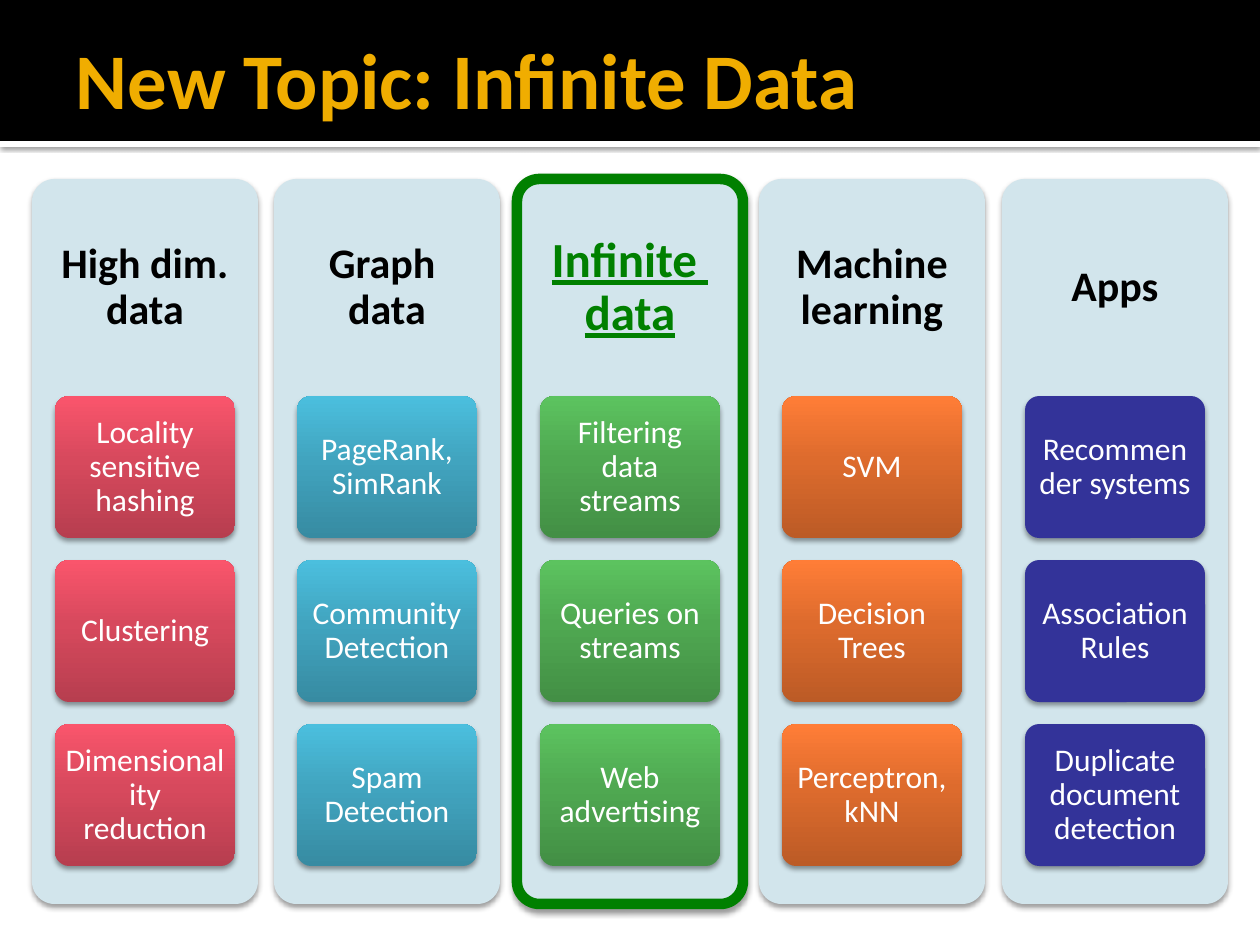
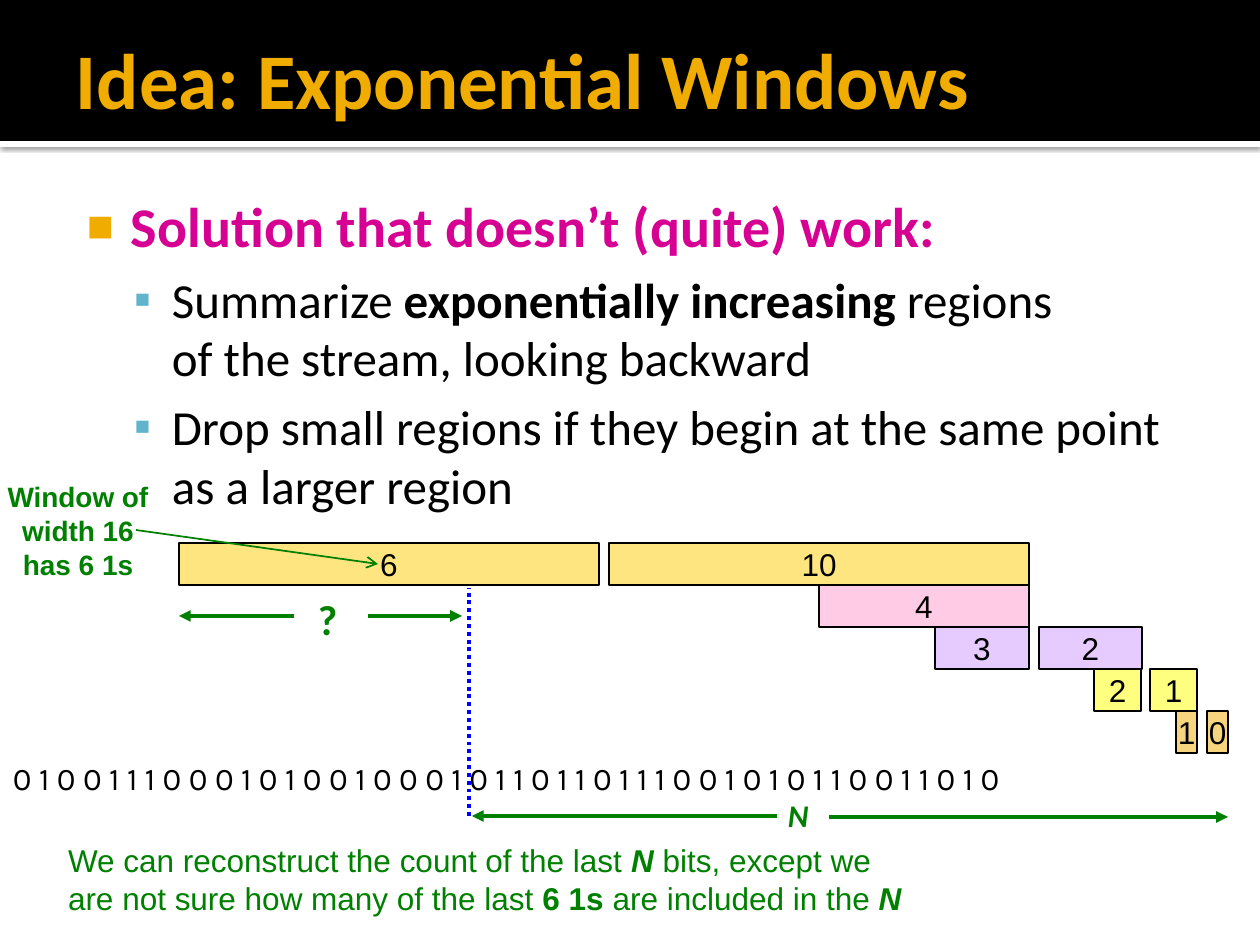
"""Build two lecture slides: the course topic map and the exponential windows idea."""
import copy
from dataclasses import dataclass

import lxml.etree
import pptx
import pptx.dml.color
import pptx.enum.dml
import pptx.enum.shapes
import pptx.enum.text
import pptx.oxml.ns
import pptx.util

RGB = pptx.dml.color.RGBColor
SHAPE = pptx.enum.shapes.MSO_SHAPE
ALIGN = pptx.enum.text.PP_ALIGN
ANCHOR = pptx.enum.text.MSO_ANCHOR
Pt = pptx.util.Pt
qn = pptx.oxml.ns.qn

EMU_PER_PX = 914400 / 126
SLIDE_W, SLIDE_H = 1260, 945
TEXT_INSETS = (13, 6, 13, 6)
NO_INSETS = (0, 0, 0, 0)

BLACK = RGB(0x00, 0x00, 0x00)
WHITE = RGB(0xFF, 0xFF, 0xFF)
GOLD = RGB(0xF0, 0xAD, 0x00)
GREEN = RGB(0x00, 0x80, 0x00)
BLUE = RGB(0x00, 0x00, 0xFF)
MAGENTA = RGB(0xD6, 0x00, 0x93)
SKY = RGB(0x60, 0xB5, 0xCC)
PANEL = RGB(0xD2, 0xE5, 0xEC)
AMBER = RGB(0xFF, 0xCC, 0x00)
PINK = RGB(0xFF, 0x99, 0xCC)
VIOLET = RGB(0xCC, 0x99, 0xFF)
YELLOW = RGB(0xFF, 0xFF, 0x00)
NAVY = RGB(0x33, 0x33, 0x99)
RED_SHADES = (RGB(0xB7, 0x3E, 0x4F), RGB(0xD7, 0x49, 0x5D), RGB(0xFA, 0x55, 0x6C))
TEAL_SHADES = (RGB(0x37, 0x8B, 0xA2), RGB(0x41, 0xA4, 0xBF), RGB(0x4B, 0xBF, 0xDE))
GREEN_SHADES = (RGB(0x43, 0x8F, 0x45), RGB(0x4F, 0xA8, 0x51), RGB(0x5C, 0xC3, 0x5F))
ORANGE_SHADES = (RGB(0xBC, 0x5B, 0x26), RGB(0xDD, 0x6B, 0x2D), RGB(0xFF, 0x7D, 0x37))


@dataclass
class Topic:
    """A column of the topic map."""
    name: str
    shades: tuple
    items: tuple
    current: bool = False


@dataclass
class Window:
    """A stream window with its count of ones."""
    count: str
    row: int
    x: int
    w: int
    color: RGB


@dataclass
class Arrow:
    """A straight line with an optional arrowhead at its end."""
    x1: int
    y1: int
    x2: int
    y2: int
    color: RGB = GREEN
    width: float = 2.25
    head: str = "triangle"
    dotted: bool = False


TOPICS = (
    Topic("High dim. data", RED_SHADES,
          ("Locality sensitive hashing", "Clustering", "Dimensionality reduction")),
    Topic("Graph \ndata", TEAL_SHADES,
          ("PageRank, SimRank", "Community Detection", "Spam Detection")),
    Topic("Infinite \ndata", GREEN_SHADES,
          ("Filtering data streams", "Queries on streams", "Web advertising"), True),
    Topic("Machine learning", ORANGE_SHADES, ("SVM", "Decision Trees", "Perceptron, kNN")),
    Topic("Apps", (NAVY,),
          ("Recommender systems", "Association Rules", "Duplicate document detection")),
)
WINDOWS = (
    Window("0", 4, 1207, 21, GOLD),
    Window("1", 4, 1176, 21, GOLD),
    Window("1", 3, 1150, 47, YELLOW),
    Window("2", 3, 1094, 47, YELLOW),
    Window("2", 2, 1039, 103, VIOLET),
    Window("3", 2, 935, 94, VIOLET),
    Window("4", 1, 819, 210, PINK),
    Window("10", 0, 609, 420, AMBER),
    Window("6", 0, 179, 420, AMBER),
)
ARROWS = (
    Arrow(777, 816, 472, 816),
    Arrow(829, 817, 1228, 817),
    Arrow(294, 616, 179, 616),
    Arrow(368, 616, 462, 616),
    Arrow(136, 530, 378, 564, width=1, head="arrow"),
    Arrow(469, 816, 469, 588, color=BLUE, head="", dotted=True),
)
BITS = "010011100010100100010110110111001010110011010"


def px(n: int) -> pptx.util.Emu:
    """Turn pixels into EMU."""
    return pptx.util.Emu(round(n * EMU_PER_PX))


def write(p, text: str, *, size: float, color: RGB = BLACK, font: str = "Calibri",
          bold: bool = False, italic: bool = False, underline: bool = False) -> None:
    """Add formatted text to a paragraph, with line breaks at newlines."""
    for i, line in enumerate(text.split("\n")):
        if i:
            p.add_line_break()
        r = p.add_run()
        r.text = line
        f = r.font
        f.name, f.size, f.color.rgb = font, Pt(size), color
        f.bold, f.italic, f.underline = bold, italic, underline


def set_frame(tf, insets: tuple = TEXT_INSETS, anchor=ANCHOR.TOP, align=ALIGN.LEFT):
    """Format a text frame and return its first paragraph."""
    tf.word_wrap = True
    tf.auto_size = pptx.enum.text.MSO_AUTO_SIZE.NONE
    tf.vertical_anchor = anchor
    tf.margin_left, tf.margin_top, tf.margin_right, tf.margin_bottom = map(px, insets)
    p = tf.paragraphs[0]
    p.alignment = align
    return p


def add_text(s, x: int, y: int, w: int, h: int, **frame):
    """Add a text box and return its first paragraph."""
    return set_frame(s.shapes.add_textbox(px(x), px(y), px(w), px(h)).text_frame, **frame)


def add_box(s, kind, x: int, y: int, w: int, h: int, *colors: RGB):
    """Add a shape without outline, filled plainly or with three upward shades."""
    sp = s.shapes.add_shape(kind, px(x), px(y), px(w), px(h))
    sp.shadow.inherit = False
    sp.line.fill.background()
    if len(colors) == 1:
        sp.fill.solid()
        sp.fill.fore_color.rgb = colors[0]
        return sp
    sp.fill.gradient()
    sp.fill.gradient_angle = 90
    gs_list = sp.element.spPr.find(".//" + qn("a:gsLst"))
    gs_list.insert(1, copy.deepcopy(gs_list[0]))
    for stop, color, position in zip(sp.fill.gradient_stops, colors, (0, 0.55, 1)):
        stop.color.rgb, stop.position = color, position
    return sp


def add_round(s, x: int, y: int, w: int, h: int, *colors: RGB):
    """Add a rounded box with a soft shadow."""
    sp = add_box(s, SHAPE.ROUNDED_RECTANGLE, x, y, w, h, *colors)
    sp.adjustments[0] = 0.1
    cast_shadow(sp, blur=3.1, distance=2, opacity=38)
    return sp


def cast_shadow(sp, blur: float, distance: float, opacity: int) -> None:
    """Give a shape a black shadow that falls straight down."""
    effects = sp.element.spPr.find(qn("a:effectLst"))
    shadow = lxml.etree.SubElement(
        effects, qn("a:outerShdw"), blurRad=str(Pt(blur)), dist=str(Pt(distance)),
        dir="5400000", algn="ctr", rotWithShape="0")
    color = lxml.etree.SubElement(shadow, qn("a:srgbClr"), val=str(BLACK))
    lxml.etree.SubElement(color, qn("a:alpha"), val=str(opacity * 1000))


def add_arrow(s, a: Arrow) -> None:
    """Draw a straight line or arrow."""
    c = s.shapes.add_connector(pptx.enum.shapes.MSO_CONNECTOR.STRAIGHT,
                               px(a.x1), px(a.y1), px(a.x2), px(a.y2))
    c.line.color.rgb, c.line.width = a.color, Pt(a.width)
    if a.dotted:
        c.line.dash_style = pptx.enum.dml.MSO_LINE.ROUND_DOT
    spPr = c.element.spPr
    if a.head:
        lxml.etree.SubElement(spPr.find(qn("a:ln")), qn("a:tailEnd"), type=a.head)
    lxml.etree.SubElement(spPr, qn("a:effectLst"))


def set_bullet(p, char: str, color: RGB, left: int, hang: int, percent: int = 100) -> None:
    """Give a paragraph a coloured bullet and a hanging indent."""
    pPr = p._p.get_or_add_pPr()
    pPr.set("marL", str(px(left)))
    pPr.set("indent", str(px(-hang)))
    bullet_color = lxml.etree.SubElement(pPr, qn("a:buClr"))
    lxml.etree.SubElement(bullet_color, qn("a:srgbClr"), val=str(color))
    lxml.etree.SubElement(pPr, qn("a:buSzPct"), val=str(percent * 1000))
    lxml.etree.SubElement(pPr, qn("a:buFont"), typeface="Arial")
    lxml.etree.SubElement(pPr, qn("a:buChar"), char=char)


def add_slide(prs, title: str):
    """Add a slide with the black title band."""
    s = prs.slides.add_slide(prs.slide_layouts[5])
    strip = add_box(s, SHAPE.RECTANGLE, 0, 141, SLIDE_W, 6, WHITE)
    cast_shadow(strip, blur=2.5, distance=0.8, opacity=60)
    add_box(s, SHAPE.RECTANGLE, 0, 0, SLIDE_W, 141, BLACK)
    sp = s.shapes.title
    s.shapes.element.append(sp.element)
    sp.left, sp.top, sp.width, sp.height = map(px, (63, 10, 1134, 136))
    p = set_frame(sp.text_frame, insets=(13, 6, 6, 6), anchor=ANCHOR.MIDDLE)
    write(p, title, size=45, color=GOLD, bold=True)
    return s


def add_topic(s, topic: Topic, x: int) -> None:
    """Draw a topic column with its heading and tiles."""
    panel = add_round(s, x, 179, 226, 725, PANEL)
    if topic.current:
        panel.line.color.rgb, panel.line.width = GREEN, Pt(6)
    p = add_text(s, x, 179, 226, 218, insets=(13, 13, 13, 13),
                 anchor=ANCHOR.MIDDLE, align=ALIGN.CENTER)
    p.line_spacing = 0.9
    write(p, topic.name, size=28 if topic.current else 24, bold=True,
          color=GREEN if topic.current else BLACK, underline=topic.current)
    for row, item in enumerate(topic.items):
        tile = add_round(s, x + 23, 396 + 164 * row, 180, 142, *topic.shades)
        p = set_frame(tile.text_frame, insets=(6, 5, 6, 5),
                      anchor=ANCHOR.MIDDLE, align=ALIGN.CENTER)
        p.line_spacing = 0.9
        write(p, item, size=18, color=WHITE)


def add_window(s, window: Window) -> None:
    """Draw a half-transparent window with its count."""
    sp = add_box(s, SHAPE.RECTANGLE, window.x, 543 + 42 * window.row, window.w, 42, window.color)
    color = sp.element.spPr.find(qn("a:solidFill"))[0]
    lxml.etree.SubElement(color, qn("a:alpha"), val="50000")
    sp.line.color.rgb, sp.line.width = BLACK, Pt(0.75)
    p = set_frame(sp.text_frame, insets=NO_INSETS, anchor=ANCHOR.MIDDLE, align=ALIGN.CENTER)
    write(p, window.count, size=18, font="Arial")


def add_idea(s) -> None:
    """Write the bulleted idea."""
    p = add_text(s, 63, 179, 1134, 725, insets=(8, 13, 13, 6))
    set_bullet(p, "■", GOLD, 60, 44, 80)
    write(p, "Solution that doesn’t (quite) work:", size=32, color=MAGENTA, bold=True)
    tf = p._parent
    points = (
        (("Summarize ", False), ("exponentially increasing ", True),
         ("regions \nof the stream, looking backward", False)),
        (("Drop small regions if they begin at the same point as a larger region", False),),
    )
    for point in points:
        p = tf.add_paragraph()
        p.level = 1
        p.space_before = Pt(5.6)
        set_bullet(p, "▪", SKY, 101, 38)
        for text, bold in point:
            write(p, text, size=28, bold=bold)


def main() -> None:
    """Build and save the presentation."""
    prs = pptx.Presentation()
    prs.slide_width, prs.slide_height = px(SLIDE_W), px(SLIDE_H)

    s = add_slide(prs, "New Topic: Infinite Data")
    for i, topic in enumerate(TOPICS):
        add_topic(s, topic, 32 + 970 * i // 4)

    s = add_slide(prs, "Idea: Exponential Windows")
    add_idea(s)
    write(add_text(s, 0, 753, 1236, 50), " ".join(BITS), size=18, font="Karla")
    write(add_text(s, 775, 790, 48, 50), "N", size=18, color=GREEN, bold=True, italic=True)
    write(add_text(s, 305, 588, 44, 63), "?", size=24, color=GREEN, bold=True)
    for window in WINDOWS:
        add_window(s, window)
    p = add_text(s, 55, 835, 878, 89)
    for text, bold, italic in (
            ("We can reconstruct the count of the last ", False, False), ("N", True, True),
            (" bits, except we are not sure how many of the last ", False, False),
            ("6 1s", True, False), (" are included in the ", False, False), ("N", True, True)):
        write(p, text, size=18, color=GREEN, font="Arial", bold=bold, italic=italic)
    p = add_text(s, -6, 474, 168, 115, align=ALIGN.CENTER)
    write(p, "Window of width 16 has 6 1s", size=16, color=GREEN, font="Arial", bold=True)
    for arrow in ARROWS:
        add_arrow(s, arrow)

    prs.save("out.pptx")


if __name__ == "__main__":
    main()
